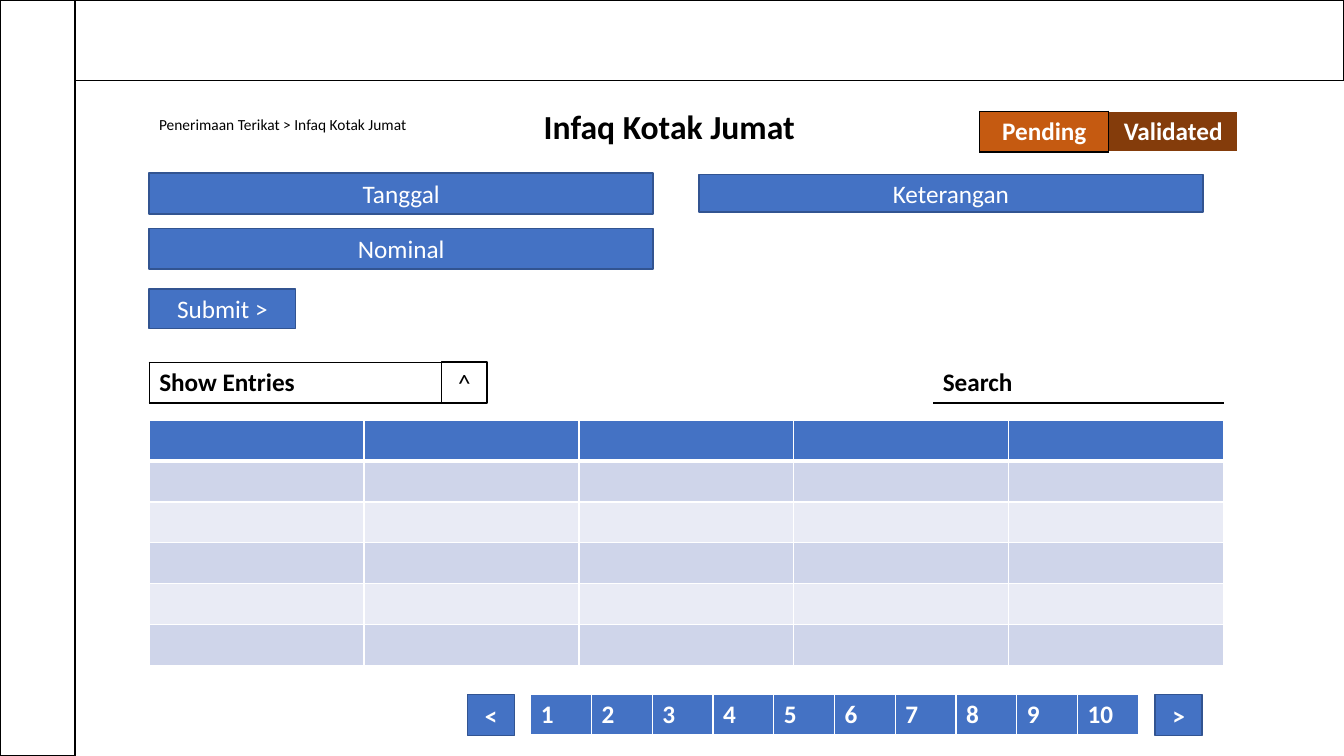
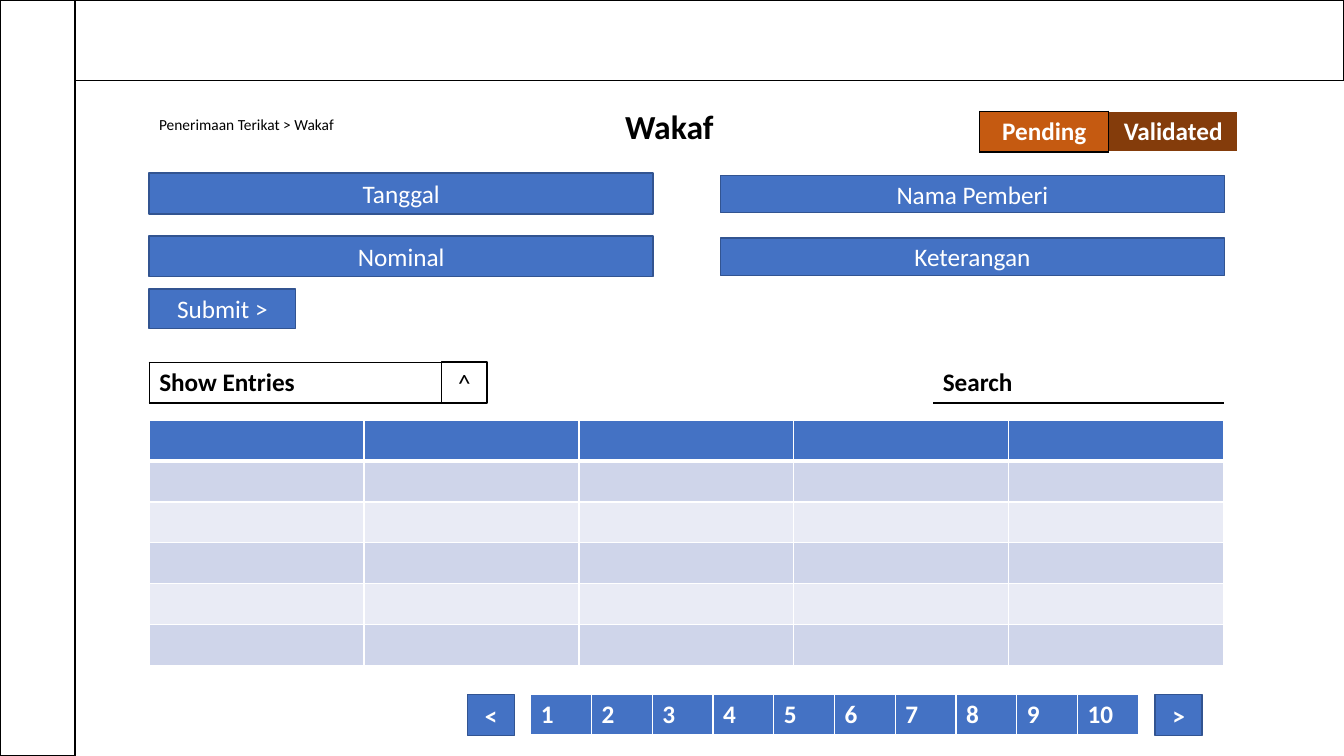
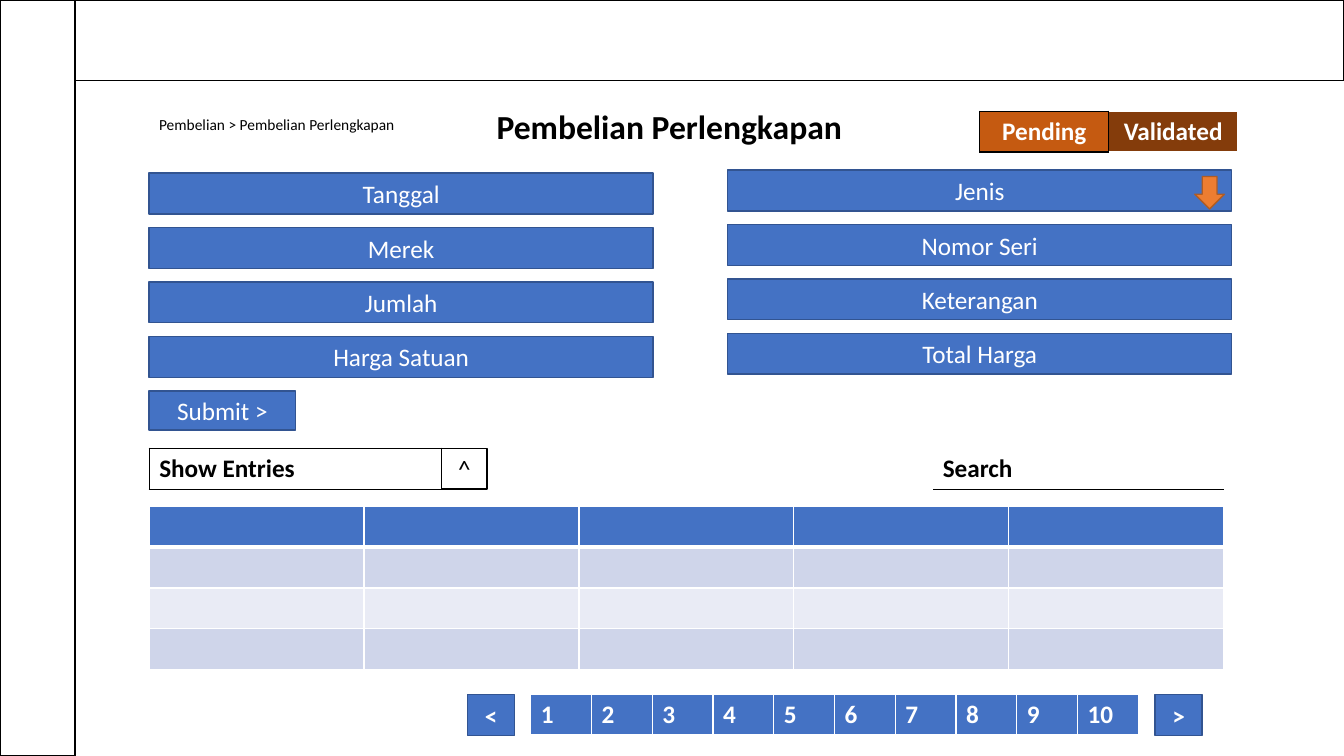
import dataclasses

import lxml.etree
import pptx
import pptx.dml.color
import pptx.enum.shapes
import pptx.enum.text
import pptx.oxml.ns
import pptx.util

SHAPES = pptx.enum.shapes.MSO_SHAPE
ALIGN = pptx.enum.text.PP_ALIGN
ANCHOR = pptx.enum.text.MSO_ANCHOR
AUTO_SIZE = pptx.enum.text.MSO_AUTO_SIZE


@dataclasses.dataclass(frozen=True)
class Theme:
    width: float = 13.33
    height: float = 7.5
    font: str = "Calibri"
    title_size: int = 24
    body_size: int = 18
    trail_size: int = 11
    white: str = "FFFFFF"
    black: str = "000000"
    blue: str = "4472C4"
    blue_edge: str = "325491"
    band_dark: str = "CFD5EA"
    band_light: str = "E9EBF5"
    pending: str = "C55A11"
    validated: str = "843C0B"
    arrow: str = "ED7D31"
    arrow_edge: str = "AF5C24"


THEME = Theme()

# Grid in percent of the slide: x and widths across, y and heights down
LEFT = 11.1
FIELD_WIDTH = 37.5
ROW = 5.4
PAGER_TOP = 91.9
TABLE_OFFSET = 7.7

SCREENS = [
    dict(title="Infaq Kotak Jumat", trail="Penerimaan Terikat > Infaq Kotak Jumat",
         left=["Tanggal", "Nominal"], right=["Keterangan"], pitch=7.3,
         right_at=(52, 23.1), right_height=4.95,
         submit_top=38.25, filter_top=47.9, table_rows=6),
    dict(title="Wakaf", trail="Penerimaan Terikat > Wakaf",
         left=["Tanggal", "Nominal"], right=["Nama Pemberi", "Keterangan"], pitch=8.3,
         right_at=(53.6, 23.2), right_height=4.95,
         submit_top=38.25, filter_top=47.9, table_rows=6),
    dict(title="Pembelian Perlengkapan", trail="Pembelian > Pembelian Perlengkapan",
         left=["Tanggal", "Merek", "Jumlah", "Harga Satuan"],
         right=["Jenis", "Nomor Seri", "Keterangan", "Total Harga"], pitch=7.2,
         right_at=(54.15, 22.5), right_height=ROW,
         submit_top=51.7, filter_top=59.3, table_rows=4, dropdown=True),
]


def area(x, y, width, height):
    """Turn percentages of the slide into lengths."""
    across, down = THEME.width / 100, THEME.height / 100
    return [pptx.util.Inches(n) for n in (x * across, y * down, width * across, height * down)]


def rgb(color):
    return pptx.dml.color.RGBColor.from_string(color)


def set_text(frame, text, size=THEME.body_size, color=THEME.white, bold=False, align=ALIGN.LEFT):
    frame.word_wrap = True
    paragraph = frame.paragraphs[0]
    paragraph.alignment = align
    run = paragraph.add_run()
    run.text = text
    run.font.name = THEME.font
    run.font.size = pptx.util.Pt(size)
    run.font.bold = bold
    run.font.color.rgb = rgb(color)


def set_fill(fill, color):
    if color:
        fill.solid()
        fill.fore_color.rgb = rgb(color)
    else:
        fill.background()


# Shapes
def add_box(slide, place, text="", fill=THEME.blue, edge=THEME.blue_edge, kind=SHAPES.RECTANGLE, **fmt):
    box = slide.shapes.add_shape(kind, *area(*place))
    box.shadow.inherit = False
    set_fill(box.fill, fill)
    box.line.color.rgb = rgb(edge)
    box.line.width = pptx.util.Pt(1)
    if text:
        box.text_frame.vertical_anchor = ANCHOR.MIDDLE
        set_text(box.text_frame, text, align=ALIGN.CENTER, **fmt)


def add_fields(slide, labels, x, top, pitch, height):
    for index, label in enumerate(labels):
        add_box(slide, (x, top + index * pitch, FIELD_WIDTH, height), label)


# Tables
def all_sides(color, bottom_width=1):
    return dict(L=(color, 1), R=(color, 1), T=(color, 1), B=(color, bottom_width))


def style_cell(cell, fill, borders):
    properties = cell._tc.get_or_add_tcPr()
    qn = pptx.oxml.ns.qn
    for side, (color, width) in borders.items():
        line = lxml.etree.SubElement(properties, qn("a:ln" + side), w=str(pptx.util.Pt(width)))
        solid = lxml.etree.SubElement(line, qn("a:solidFill"))
        lxml.etree.SubElement(solid, qn("a:srgbClr"), val=color)
    set_fill(cell.fill, fill)


def add_grid(slide, x, y, width, rows, columns):
    table = slide.shapes.add_table(rows, columns, *area(x, y, width, rows * ROW)).table
    table.first_row = table.horz_banding = False
    return table


def add_text_row(slide, x, y, width, cells, **fmt):
    """Add a one-row table from (text, fill, borders) cells."""
    table = add_grid(slide, x, y, width, 1, len(cells))
    for cell, (text, fill, borders) in zip(table.rows[0].cells, cells):
        style_cell(cell, fill, borders)
        set_text(cell.text_frame, text, bold=True, **fmt)


def add_entries(slide, y, rows):
    table = add_grid(slide, LEFT, y, 79.95, rows, 5)
    for index, row in enumerate(table.rows):
        header = index == 0
        fill = THEME.blue if header else THEME.band_dark if index % 2 else THEME.band_light
        borders = all_sides(THEME.white, 3 if header else 1)
        if index == 1:
            del borders["T"]
        for cell in row.cells:
            style_cell(cell, fill, borders)


# Parts of every screen
def add_frame(slide):
    for place in [(0, 0, 100, 10.7), (0, 0, 5.6, 100)]:
        add_box(slide, place, fill=THEME.white, edge=THEME.black)


def add_heading(slide, title, trail):
    heading = slide.shapes.title
    heading.left, heading.top, heading.width, heading.height = area(29.85, 13.3, 39.9, 6.7)
    heading.text_frame.vertical_anchor = ANCHOR.TOP
    heading.text_frame.auto_size = AUTO_SIZE.SHAPE_TO_FIT_TEXT
    set_text(heading.text_frame, title, size=THEME.title_size, color=THEME.black,
             bold=True, align=ALIGN.CENTER)

    breadcrumb = slide.shapes.add_textbox(*area(LEFT, 14.55, 21.75, 3.9))
    breadcrumb.text_frame.auto_size = AUTO_SIZE.SHAPE_TO_FIT_TEXT
    set_text(breadcrumb.text_frame, trail, size=THEME.trail_size, color=THEME.black)


def add_status(slide):
    cells = [("Pending", THEME.pending, all_sides(THEME.black)),
             ("Validated", THEME.validated, dict(L=(THEME.black, 1)))]
    add_text_row(slide, 72.9, 14.7, 19.2, cells, align=ALIGN.CENTER)


def add_filters(slide, y):
    search_borders = all_sides(THEME.white) | dict(B=(THEME.black, 1))
    add_text_row(slide, 69.4, y, 21.75, [("Search", None, search_borders)], color=THEME.black)
    add_text_row(slide, LEFT, y, 21.75, [("Show Entries", None, all_sides(THEME.black))],
                 color=THEME.black)
    add_box(slide, (32.85, y, 3.4, ROW), "^", fill=None, edge=THEME.black, color=THEME.black)


def add_pager(slide):
    pages = [(str(page), THEME.blue, all_sides(THEME.white, 3)) for page in range(1, 11)]
    add_text_row(slide, 39.5, PAGER_TOP, 45.2, pages)
    for x, sign in [(34.8, "<"), (85.95, ">")]:
        add_box(slide, (x, PAGER_TOP, 3.5, ROW), sign, bold=True)


def add_screen(deck, screen):
    slide = deck.slides.add_slide(deck.slide_layouts[5])
    add_frame(slide)
    add_heading(slide, screen["title"], screen["trail"])
    add_status(slide)

    # Form
    add_fields(slide, screen["left"], LEFT, 22.9, screen["pitch"], ROW)
    add_fields(slide, screen["right"], *screen["right_at"], screen["pitch"], screen["right_height"])
    if screen.get("dropdown"):
        add_box(slide, (88.9, 23.35, 2.2, 4.3), fill=THEME.arrow, edge=THEME.arrow_edge,
                kind=SHAPES.DOWN_ARROW)
    add_box(slide, (LEFT, screen["submit_top"], 10.9, 5.2), "Submit >")

    # Entries
    add_filters(slide, screen["filter_top"])
    add_entries(slide, screen["filter_top"] + TABLE_OFFSET, screen["table_rows"])
    add_pager(slide)


def main():
    deck = pptx.Presentation()
    deck.slide_width = pptx.util.Inches(THEME.width)
    deck.slide_height = pptx.util.Inches(THEME.height)
    for screen in SCREENS:
        add_screen(deck, screen)
    deck.save("out.pptx")


main()
